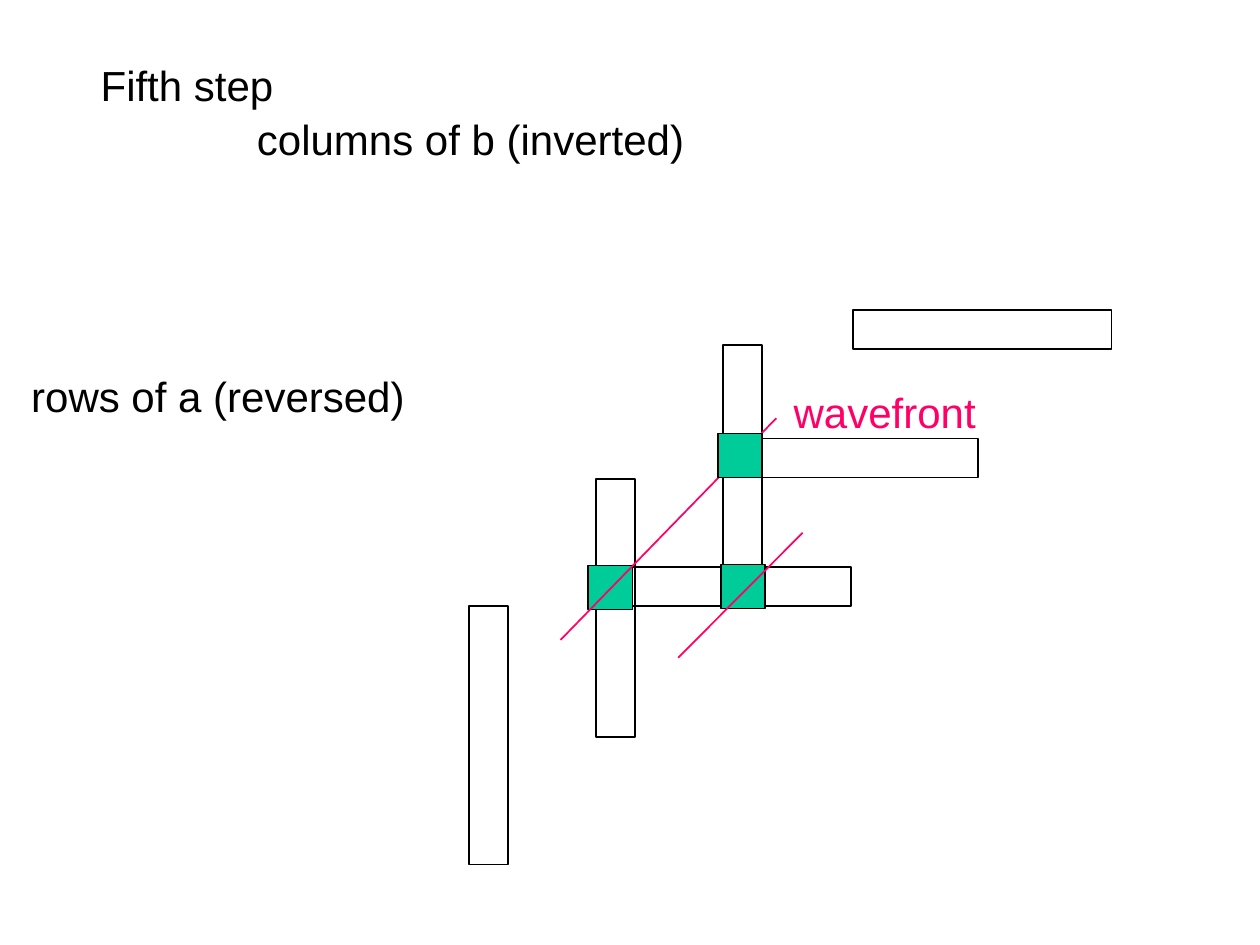
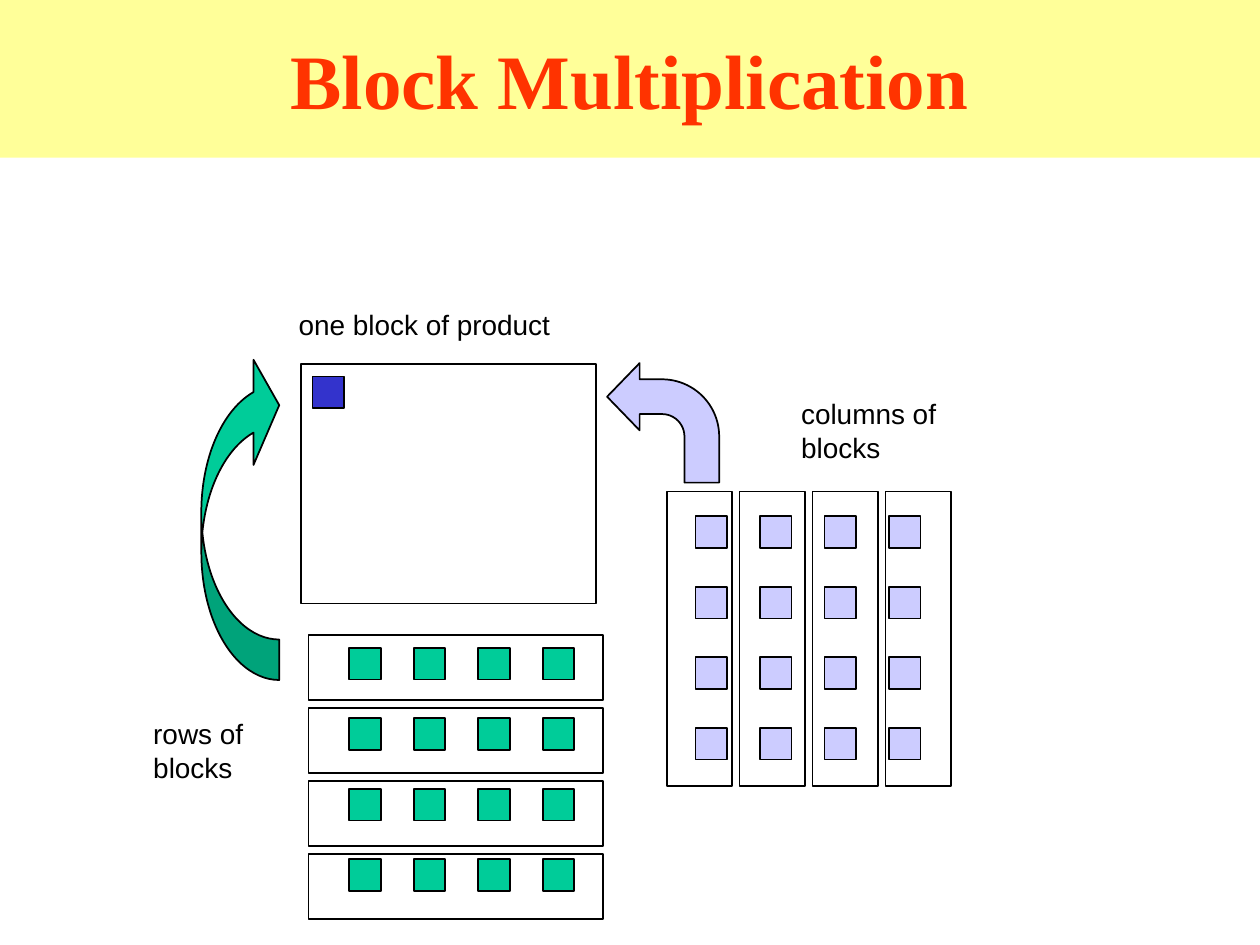
from dataclasses import dataclass
from lxml.etree import SubElement
from pptx import Presentation
from pptx.dml.color import RGBColor
from pptx.enum.shapes import MSO_CONNECTOR, MSO_SHAPE
from pptx.enum.text import MSO_ANCHOR, PP_ALIGN
from pptx.oxml.ns import qn
from pptx.util import Cm, Pt


@dataclass(frozen=True)
class Theme:
    ink: RGBColor = RGBColor.from_string("000000")
    green: RGBColor = RGBColor.from_string("00CC99")
    lilac: RGBColor = RGBColor.from_string("CCCCFF")
    blue: RGBColor = RGBColor.from_string("3333CC")
    pink: RGBColor = RGBColor.from_string("FF0066")
    band: RGBColor = RGBColor.from_string("FFFF99")
    title: RGBColor = RGBColor.from_string("FF3300")
    title_font: str = "Times New Roman"
    body_font: str = "Arial"
    title_size: Pt = Pt(44)
    step_size: Pt = Pt(24)
    label_size: Pt = Pt(16)
    line_width: Pt = Pt(1)


theme = Theme()


def add_figure(page, left, top, width, height, fill=None, kind=MSO_SHAPE.RECTANGLE):
    figure = page.shapes.add_shape(kind, Cm(left), Cm(top), Cm(width), Cm(height))
    figure.shadow.inherit = False
    figure.line.color.rgb = theme.ink
    figure.line.width = theme.line_width
    if fill is None:
        figure.fill.background()
    else:
        figure.fill.solid()
        figure.fill.fore_color.rgb = fill
    return figure


def add_label(page, left, top, width, height, lines, size, color=theme.ink):
    box = page.shapes.add_textbox(Cm(left), Cm(top), Cm(width), Cm(height))
    frame = box.text_frame
    frame.word_wrap = False
    frame.text = "\n".join(lines)
    for paragraph in frame.paragraphs:
        paragraph.font.name = theme.body_font
        paragraph.font.size = size
        paragraph.font.color.rgb = color


deck = Presentation()
deck.slide_width = Cm(25.4)
deck.slide_height = Cm(19.05)
blank = deck.slide_layouts[6]

page = deck.slides.add_slide(blank)
bar_length, bar_width, cell = 5.21, 0.79, 0.89

for left, top in ((17.2, 6.25), (14.5, 8.84), (11.94, 11.43)):
    add_figure(page, left, top, bar_length, bar_width)

add_label(page, 0.38, 7.34, 8.26, 1.27, ["rows of a (reversed)"], theme.step_size)
add_label(page, 4.93, 2.16, 9.35, 1.27, ["columns of b (inverted)"], theme.step_size)
add_label(page, 1.78, 1.07, 4.22, 1.27, ["Fifth step"], theme.step_size)
add_label(page, 15.75, 7.67, 4.17, 1.27, ["wavefront"], theme.step_size, theme.pink)

for left, top in ((14.58, 6.96), (12.01, 9.65), (9.45, 12.22)):
    add_figure(page, left, top, bar_width, bar_length)

for left, top in ((11.86, 11.4), (14.53, 11.38)):
    add_figure(page, left, top, cell, cell, theme.green)

for ends in ((13.67, 13.26, 16.18, 10.74), (11.3, 12.9, 15.65, 8.43)):
    wavefront = page.shapes.add_connector(MSO_CONNECTOR.STRAIGHT, *map(Cm, ends))
    wavefront.line.color.rgb = theme.pink
    wavefront.line.width = theme.line_width
    SubElement(wavefront._element.spPr, qn("a:effectLst"))

add_figure(page, 14.48, 8.74, cell, cell, theme.green)

page = deck.slides.add_slide(blank)
title = add_figure(page, 0, 0, 25.4, 3.18, theme.band)
title.line.fill.background()
title.text_frame.vertical_anchor = MSO_ANCHOR.MIDDLE
title.text_frame.text = "Block Multiplication"
heading = title.text_frame.paragraphs[0]
heading.alignment = PP_ALIGN.CENTER
heading.font.name = theme.title_font
heading.font.size = theme.title_size
heading.font.bold = True
heading.font.color.rgb = theme.title

block, column_pitch, row_pitch = 0.64, 1.3, 1.42
for grid_left, grid_top, fill in ((7.04, 13.06, theme.green), (14.02, 10.41, theme.lilac)):
    for row in range(4):
        for column in range(4):
            add_figure(page, grid_left + column * column_pitch,
                       grid_top + row * row_pitch, block, block, fill)

strip_length, strip_width, strip_pitch = 5.94, 1.32, 1.47
for index in range(4):
    add_figure(page, 6.22, 12.8 + index * strip_pitch, strip_length, strip_width)
    add_figure(page, 13.44 + index * strip_pitch, 9.91, strip_width, strip_length)

arrows = (
    (MSO_SHAPE.CURVED_RIGHT_ARROW, (4.06, 7.11, 1.57, 6.6), theme.green,
     "flipV", (0.52, 1.35, 0.33)),
    (MSO_SHAPE.BENT_ARROW, (12.24, 7.32, 2.26, 2.41), theme.lilac,
     "flipH", (0.31, 0.3, 0.29, 0.51)),
)
for kind, place, fill, flip, proportions in arrows:
    arrow = add_figure(page, *place, fill, kind)
    arrow._element.spPr.find(qn("a:xfrm")).set(flip, "1")
    for index, proportion in enumerate(proportions):
        arrow.adjustments[index] = proportion

add_figure(page, 6.3, 7.59, block, block, theme.blue)
add_label(page, 5.77, 6.07, 5.74, 0.94, ["one block of product"], theme.label_size)
add_label(page, 2.84, 14.33, 2.46, 1.63, ["rows of", "blocks"], theme.label_size)
add_label(page, 15.9, 7.87, 3.38, 1.63, ["columns of", "blocks"], theme.label_size)
add_figure(page, 6.07, 7.34, strip_length, 4.83)

deck.save("out.pptx")
